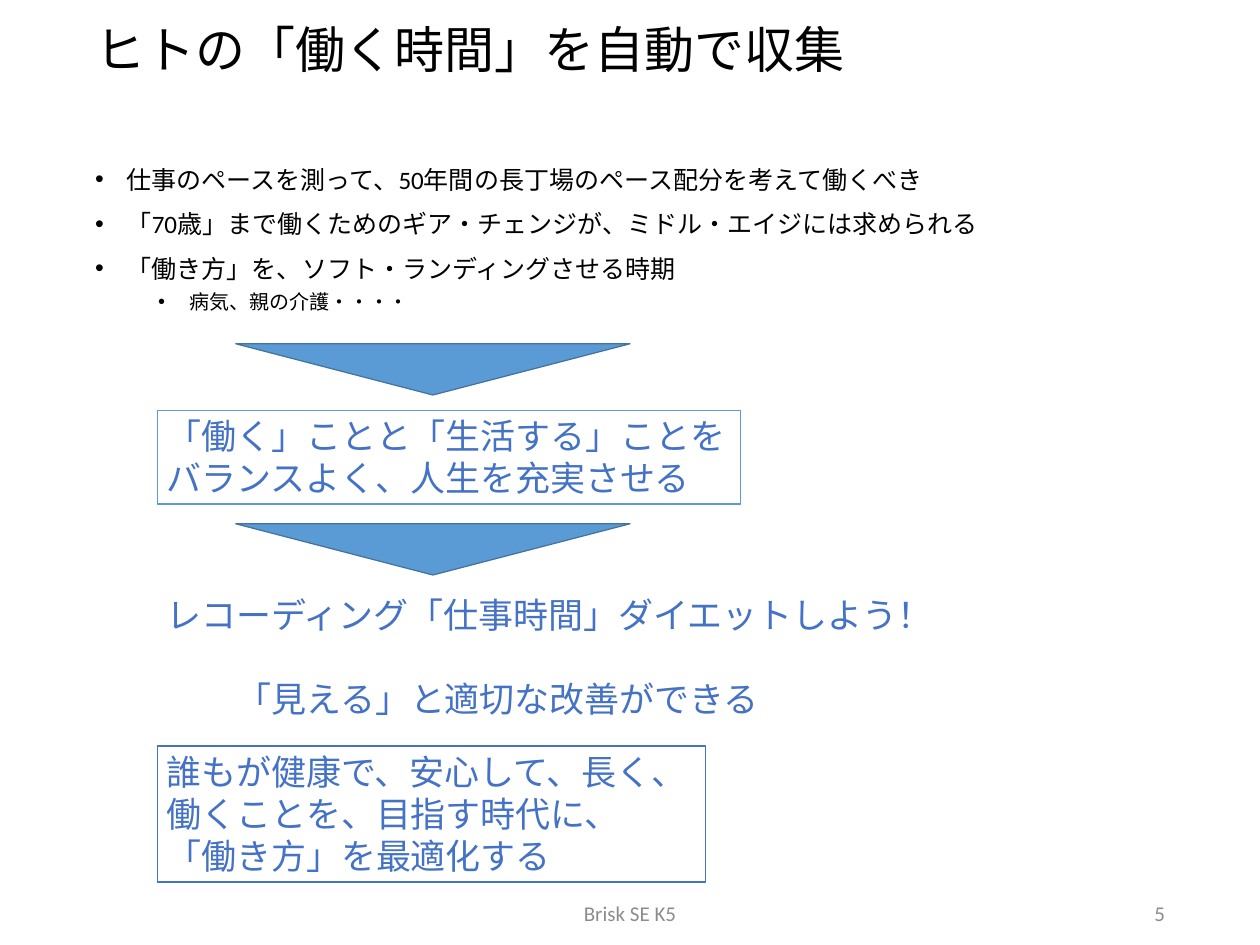
from lxml.etree import SubElement
from pptx import Presentation
from pptx.dml.color import RGBColor
from pptx.enum.shapes import MSO_SHAPE
from pptx.enum.text import MSO_ANCHOR, MSO_AUTO_SIZE, PP_ALIGN
from pptx.oxml.ns import qn
from pptx.util import Pt

TITLE = "ヒトの「働く時間」を自動で収集"
# level, text
POINTS = [
    (0, "仕事のペースを測って、50年間の長丁場のペース配分を考えて働くべき"),
    (0, "「70歳」まで働くためのギア・チェンジが、ミドル・エイジには求められる"),
    (0, "「働き方」を、ソフト・ランディングさせる時期"),
    (1, "病気、親の介護・・・・"),
]
# size, space before, left indent for each level
LEVELS = [(20, 14, 25.2), (16, 7, 75.6)]
ARROWS = [275, 419]  # tops
# top, width, height, outline, lines as (text, space before, indent)
BOXES = [
    (328.3, 466.6, 74.9, "5B9BD5", [
        ("「働く」ことと「生活する」ことを", 0, 0),
        ("バランスよく、人生を充実させる", 0, 0)]),
    (470.9, 636.5, 108.7, None, [
        ("レコーディング「仕事時間」ダイエットしよう！", 0, 0),
        ("「見える」と適切な改善ができる", 33.6, 56)]),
    (596.9, 438.5, 108.7, "4472C4", [
        ("誰もが健康で、安心して、長く、", 0, 0),
        ("働くことを、目指す時代に、", 0, 0),
        ("「働き方」を最適化する", 0, 0)]),
]
# left, width, alignment, text
FOOTS = [
    (334, 340, PP_ALIGN.CENTER, "Brisk SE K5"),
    (712, 227, PP_ALIGN.RIGHT, "5"),
]


def color(code):
    return RGBColor.from_string(code)


def place(shape, *box):
    shape.left, shape.top, shape.width, shape.height = map(Pt, box)


def write(para, text, size, code):
    run = para.add_run()
    run.text = text
    run.font.name = "Calibri"
    run.font.size = Pt(size)
    run.font.color.rgb = color(code)


def paras(frame, count):
    """Return the frame's first paragraph and as many new ones as needed."""
    return [frame.paragraphs[0]] + [frame.add_paragraph() for _ in range(count - 1)]


def indent(para, left, hang=0):
    props = para._p.get_or_add_pPr()
    props.set("marL", str(Pt(left)))
    props.set("indent", str(Pt(-hang)))
    return props


def add_title(slide):
    title = slide.shapes.title
    place(title, 69, 8.6, 869, 66)
    frame = title.text_frame
    frame.auto_size = MSO_AUTO_SIZE.NONE
    frame.vertical_anchor = MSO_ANCHOR.MIDDLE
    para = frame.paragraphs[0]
    para.alignment = PP_ALIGN.LEFT
    para.line_spacing = 0.9
    write(para, TITLE, 40, "000000")


def add_points(slide):
    body = slide.placeholders[1]
    place(body, 69, 94.3, 869, 202)
    frame = body.text_frame
    frame.auto_size = MSO_AUTO_SIZE.NONE
    frame.margin_top = Pt(39.6)
    for n, (para, (level, text)) in enumerate(zip(paras(frame, len(POINTS)), POINTS)):
        size, gap, left = LEVELS[level]
        para.level = level
        para.line_spacing = 0.9
        para.space_before = Pt(gap if n else 0)
        props = indent(para, left, 25.2)
        SubElement(props, qn("a:buFont")).set("typeface", "Arial")
        SubElement(props, qn("a:buChar")).set("char", "•")
        write(para, text, size, "000000")


def add_arrow(slide, top):
    arrow = slide.shapes.add_shape(
        MSO_SHAPE.ISOSCELES_TRIANGLE, Pt(188.6), Pt(top), Pt(315.4), Pt(41))
    arrow.rotation = 180
    arrow.shadow.inherit = False
    arrow.fill.solid()
    arrow.fill.fore_color.rgb = color("5B9BD5")
    arrow.line.color.rgb = color("43739E")
    arrow.line.width = Pt(1)


def add_box(slide, top, width, height, edge, lines):
    box = slide.shapes.add_textbox(Pt(126), Pt(top), Pt(width), Pt(height))
    box.fill.solid()
    box.fill.fore_color.rgb = color("FFFFFF")
    if edge:
        box.line.color.rgb = color(edge)
        box.line.width = Pt(1)
    frame = box.text_frame
    frame.word_wrap = False
    for para, (text, gap, left) in zip(paras(frame, len(lines)), lines):
        para.space_before = Pt(gap)
        indent(para, left)
        write(para, text, 28, "4472C4")


def add_foot(slide, left, width, align, text):
    box = slide.shapes.add_textbox(Pt(left), Pt(720), Pt(width), Pt(21))
    frame = box.text_frame
    frame.word_wrap = True
    frame.vertical_anchor = MSO_ANCHOR.MIDDLE
    para = frame.paragraphs[0]
    para.alignment = align
    write(para, text, 16.8, "8C8C8C")


def main():
    deck = Presentation()
    deck.slide_width, deck.slide_height = Pt(1008), Pt(756)
    slide = deck.slides.add_slide(deck.slide_layouts[1])
    add_title(slide)
    add_points(slide)
    for foot in FOOTS:
        add_foot(slide, *foot)
    for top in ARROWS:
        add_arrow(slide, top)
    for box in BOXES:
        add_box(slide, *box)
    deck.save("out.pptx")


if __name__ == "__main__":
    main()
